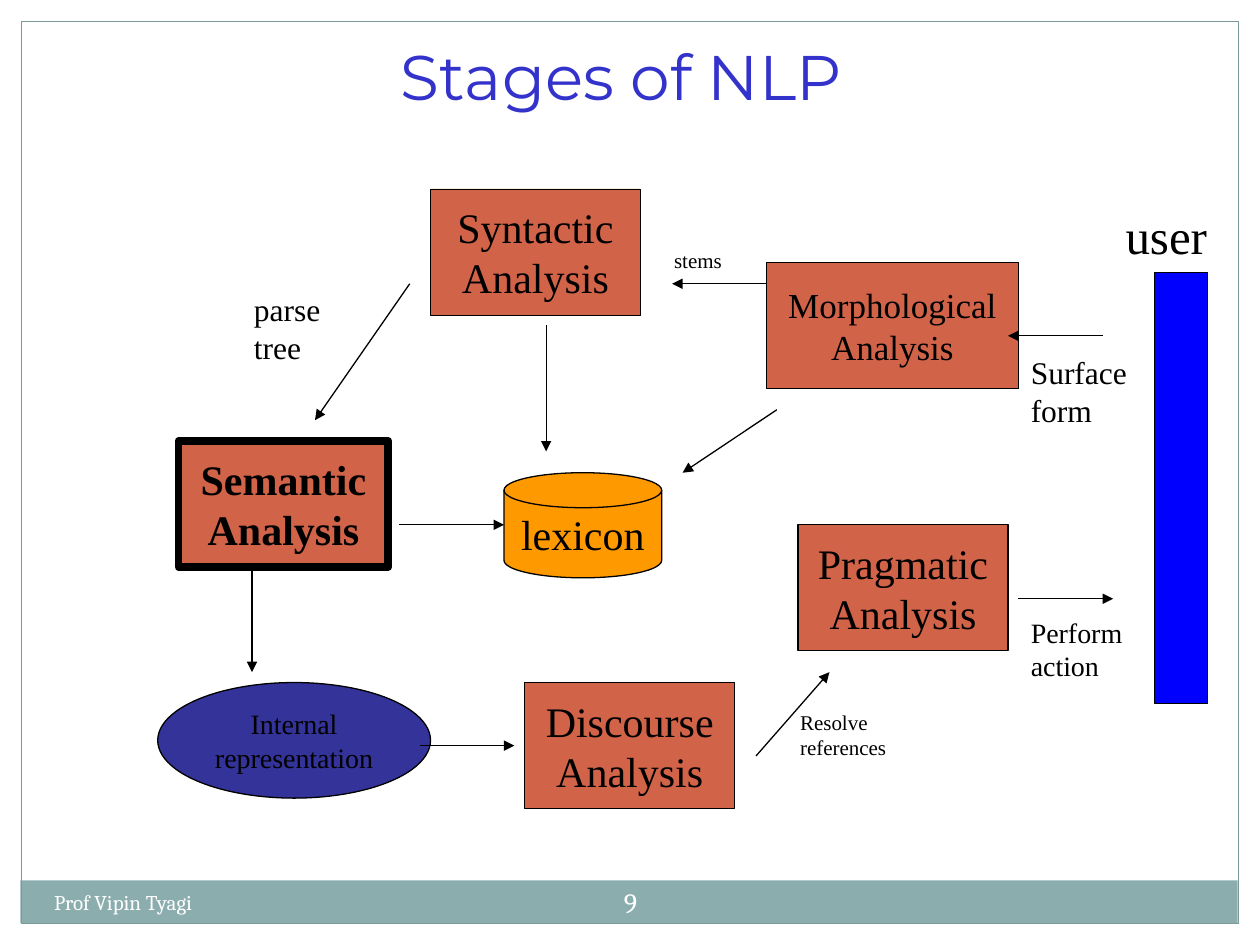
"""Build the slide that shows the stages of NLP."""
from lxml import etree
from pptx import Presentation
from pptx.dml.color import RGBColor
from pptx.enum.shapes import MSO_CONNECTOR, MSO_SHAPE
from pptx.enum.text import MSO_ANCHOR, PP_ALIGN
from pptx.oxml.ns import qn
from pptx.util import Cm, Pt

RECT = MSO_SHAPE.RECTANGLE
OVAL = MSO_SHAPE.OVAL
DISK = MSO_SHAPE.FLOWCHART_MAGNETIC_DISK
LINE = MSO_CONNECTOR.STRAIGHT
LEFT, MID = PP_ALIGN.LEFT, PP_ALIGN.CENTER
TOP, CORE = MSO_ANCHOR.TOP, MSO_ANCHOR.MIDDLE
SERIF = "Times New Roman"
BLACK, WHITE, RUST = "000000", "FFFFFF", "D16349"

hue = RGBColor.from_string


def write(shape, text, size=24, font=SERIF, color=BLACK, bold=False,
          align=LEFT, anchor=TOP, wrap=True):
    frame = shape.text_frame
    frame.word_wrap = wrap
    frame.vertical_anchor = anchor
    para = frame.paragraphs[0]
    para.alignment = align
    run = para.add_run()
    run.text = text
    run.font.size = Pt(size)
    run.font.name = font
    run.font.bold = bold
    run.font.color.rgb = hue(color)


def draw(kind, at, fill=None, line=None, width=0.75):
    shape = shapes.add_shape(kind, *map(Cm, at))
    shape.shadow.inherit = False
    if fill:
        shape.fill.solid()
        shape.fill.fore_color.rgb = hue(fill)
    else:
        shape.fill.background()
    if line:
        shape.line.color.rgb = hue(line)
        shape.line.width = Pt(width)
    else:
        shape.line.fill.background()
    return shape


deck = Presentation()
deck.slide_width, deck.slide_height = Cm(25.4), Cm(19.05)
shapes = deck.slides.add_slide(deck.slide_layouts[6]).shapes

draw(RECT, (0.41, 17.75, 24.54, 0.86), fill="8CADAE")
draw(RECT, (0.43, 0.43, 24.54, 18.19), line="7C999A")
draw(RECT, (23.28, 5.5, 1.06, 8.68), fill="0000FF", line=BLACK)

stages = [
    ("Morphological Analysis", 15.45, 5.29, 5.08, 20, 0.75),
    ("Syntactic Analysis", 8.68, 3.81, 4.23, 24, 0.25),
    ("Semantic Analysis", 3.6, 8.89, 4.23, 24, 4.5),
    ("Discourse Analysis", 10.58, 13.76, 4.23, 24, 0.75),
    ("Pragmatic Analysis", 16.09, 10.58, 4.23, 24, 0.75),
]
for text, left, top, wide, size, edge in stages:
    box = draw(RECT, (left, top, wide, 2.54), RUST, BLACK, edge)
    write(box, text, size=size, bold=edge > 1, align=MID, anchor=CORE)

form = draw(OVAL, (3.18, 13.76, 5.5, 2.33), "333399", BLACK)
write(form, "Internal representation", size=16, align=MID, anchor=CORE)
store = draw(DISK, (10.16, 9.53, 3.18, 2.12), "FF9900", BLACK)
write(store, "lexicon", align=MID, anchor=CORE, wrap=False)

arrows = [
    (22.23, 6.77, 20.32, 6.77),
    (15.45, 5.72, 13.55, 5.72),
    (8.26, 5.72, 6.35, 8.47),
    (5.08, 11.43, 5.08, 13.55),
    (20.53, 12.07, 22.44, 12.07),
    (15.66, 8.26, 13.76, 9.53),
    (11.01, 6.56, 11.01, 9.1),
    (8.04, 10.58, 10.16, 10.58),
    (8.47, 15.03, 10.37, 15.03),
    (15.24, 15.24, 16.72, 13.55),
]
for ends in arrows:
    arrow = shapes.add_connector(LINE, *map(Cm, ends))
    arrow.line.color.rgb = hue(BLACK)
    arrow.line.width = Pt(0.75)
    tip = etree.SubElement(arrow.line._get_or_add_ln(), qn("a:tailEnd"))
    tip.set("type", "triangle")
    etree.SubElement(arrow._element.spPr, qn("a:effectLst"))

labels = [
    ("user", (22.44, 4.02, 2.54, 1.45), {"size": 28}),
    ("Surface form", (20.53, 6.99, 2.54, 1.78), {"size": 18}),
    ("Perform action", (20.53, 12.28, 2.54, 1.63), {"size": 16}),
    ("stems", (13.34, 4.87, 2.54, 0.76), {"size": 12}),
    ("parse tree", (4.87, 5.72, 2.54, 1.78), {"size": 18}),
    ("Resolve references", (15.88, 14.18, 2.54, 1.27), {"size": 12}),
    ("Prof Vipin Tyagi", (0.84, 17.81, 9.96, 1.02),
     {"size": 12, "font": "Cambria", "color": WHITE}),
    ("9", (11.86, 17.58, 1.7, 1.22),
     {"size": 16, "font": "Cambria", "color": WHITE, "align": MID,
      "anchor": CORE}),
    ("Stages of NLP", (7.62, 0.64, 9.8, 2.01),
     {"size": 36, "font": "Montserrat", "color": "3333CC", "align": MID,
      "wrap": False}),
]
for text, at, style in labels:
    write(shapes.add_textbox(*map(Cm, at)), text, **style)

deck.save("out.pptx")
